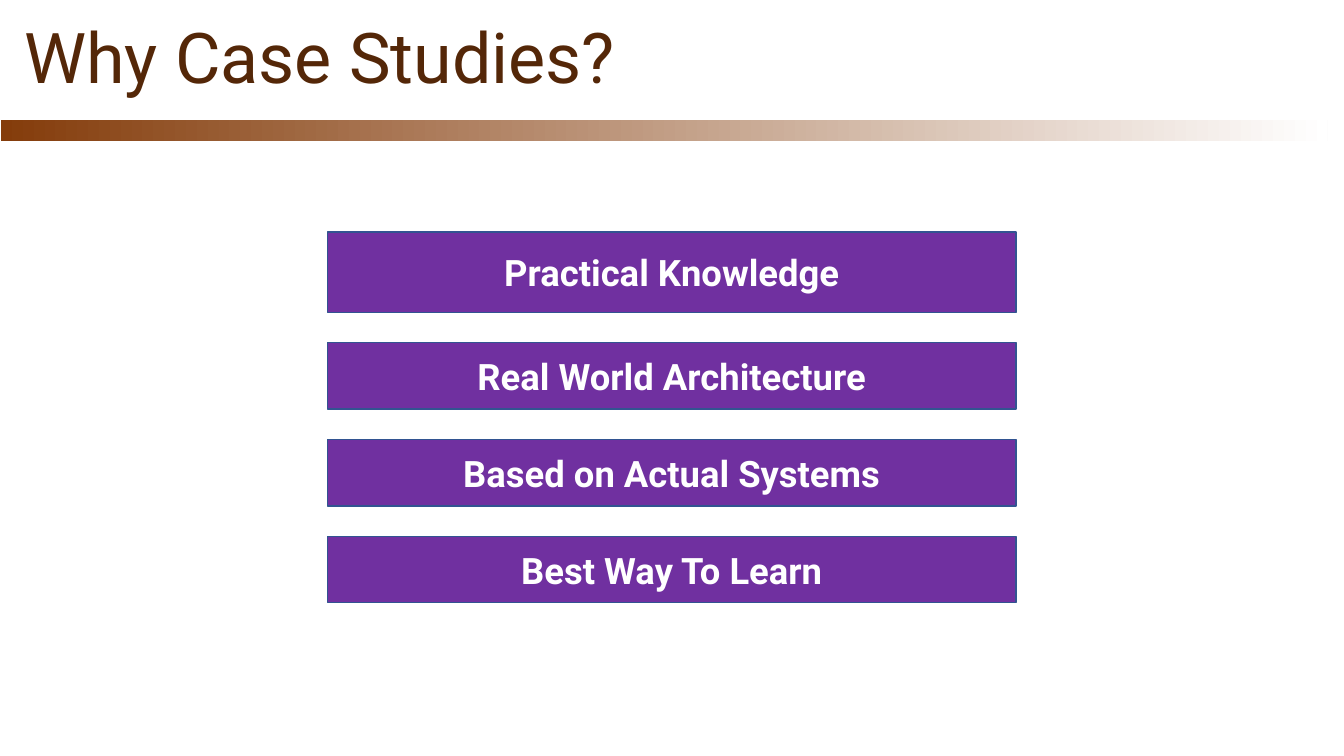
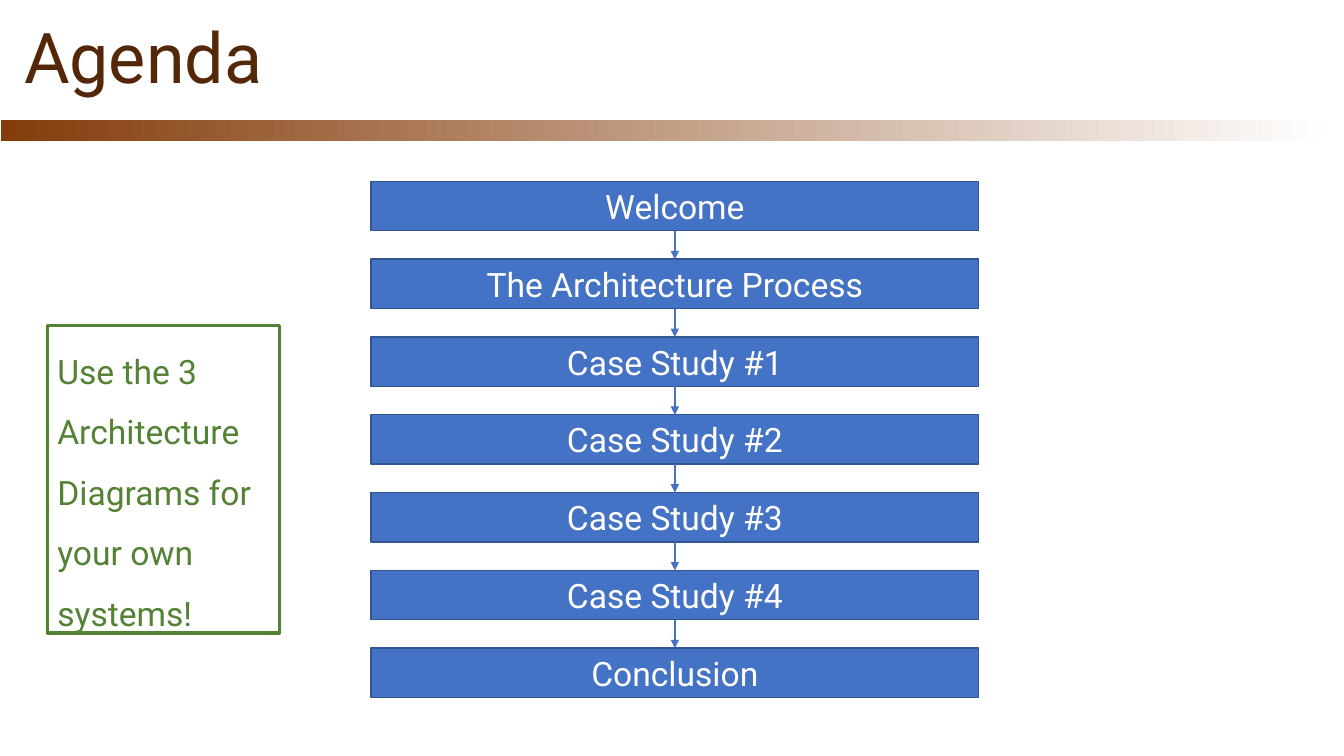
"""Build the two opening slides of a course on architecture case studies."""
import itertools

import lxml.etree
import pptx
import pptx.dml.color
import pptx.enum.shapes
import pptx.enum.text
import pptx.oxml.ns
import pptx.util

SLIDE_WIDTH = pptx.util.Inches(13.333)
SLIDE_HEIGHT = pptx.util.Inches(7.5)
FONT = "Roboto"
BROWN, DARK_BROWN, WHITE = "843C0B", "542708", "FFFFFF"
PURPLE, BLUE, NAVY, GREEN = "7030A0", "4472C4", "325491", "548235"

REASONS = ["Practical Knowledge", "Real World Architecture",
           "Based on Actual Systems", "Best Way To Learn"]
AGENDA = ["Welcome", "The Architecture Process",
          *(f"Case Study #{number}" for number in range(1, 5)), "Conclusion"]


def color(hex_string):
    """Turn a hex string into a colour."""
    return pptx.dml.color.RGBColor.from_string(hex_string)


def place(left, top, width, height):
    """Turn percentages of the slide's size into lengths."""
    return (int(SLIDE_WIDTH * left / 100), int(SLIDE_HEIGHT * top / 100),
            int(SLIDE_WIDTH * width / 100), int(SLIDE_HEIGHT * height / 100))


def write(shape, text, size, hex_string, bold=False):
    """Put one formatted paragraph into a shape and return it."""
    shape.text_frame.word_wrap = True
    shape.text_frame.text = text
    paragraph = shape.text_frame.paragraphs[0]
    font = paragraph.runs[0].font
    font.name, font.size, font.bold = FONT, pptx.util.Pt(size), bold
    font.color.rgb = color(hex_string)
    return paragraph


def add_rectangle(slide, box, fill=None, line=None, line_width=1):
    """Add a flat rectangle with an optional fill and outline."""
    shape = slide.shapes.add_shape(
        pptx.enum.shapes.MSO_SHAPE.RECTANGLE, *place(*box))
    shape.shadow.inherit = False
    if fill:
        shape.fill.solid()
        shape.fill.fore_color.rgb = color(fill)
    else:
        shape.fill.background()
    if line:
        shape.line.color.rgb = color(line)
        shape.line.width = pptx.util.Pt(line_width)
    else:
        shape.line.fill.background()
    return shape


def add_titled_slide(presentation, title, title_width):
    """Add a blank slide with the title and the fading band."""
    slide = presentation.slides.add_slide(presentation.slide_layouts[6])
    band = add_rectangle(slide, (0.08, 15.87, 98.7, 2.8))
    band.fill.gradient()
    band.fill.gradient_angle = 0
    for stop, position, shade in zip(band.fill.gradient_stops, (0, 1), (BROWN, WHITE)):
        stop.position = position
        stop.color.rgb = color(shade)
    box = slide.shapes.add_textbox(*place(1.05, 1.07, title_width, 12.53))
    write(box, title, 50, DARK_BROWN)
    box.text_frame.auto_size = pptx.enum.text.MSO_AUTO_SIZE.SHAPE_TO_FIT_TEXT
    return slide


def add_bar(slide, box, text, fill, size, bold=False):
    """Add a filled bar with centred white text."""
    bar = add_rectangle(slide, box, fill, NAVY)
    paragraph = write(bar, text, size, WHITE, bold)
    paragraph.alignment = pptx.enum.text.PP_ALIGN.CENTER
    bar.text_frame.vertical_anchor = pptx.enum.text.MSO_ANCHOR.MIDDLE
    return bar


def add_arrow(slide, upper, lower):
    """Join the bottom of one bar to the top of the next."""
    arrow = slide.shapes.add_connector(
        pptx.enum.shapes.MSO_CONNECTOR.STRAIGHT, 0, 0, 0, 0)
    arrow.begin_connect(upper, 2)
    arrow.end_connect(lower, 0)
    arrow.line.color.rgb = color(BLUE)
    arrow.line.width = pptx.util.Pt(1.5)
    qualified = pptx.oxml.ns.qn
    line = arrow.line._get_or_add_ln()
    lxml.etree.SubElement(line, qualified("a:tailEnd"), type="triangle")
    lxml.etree.SubElement(arrow._element.spPr, qualified("a:effectLst"))


def add_note(slide, box, text):
    """Add an outlined note with widely spaced lines."""
    note = add_rectangle(slide, box, line=GREEN, line_width=2.25)
    paragraph = write(note, text, 24, GREEN)
    paragraph.alignment = pptx.enum.text.PP_ALIGN.LEFT
    paragraph.line_spacing = 1.5
    note.text_frame.vertical_anchor = pptx.enum.text.MSO_ANCHOR.TOP


def build_reasons(presentation):
    """Build the slide of reasons, whose first bar is taller."""
    slide = add_titled_slide(presentation, "Why Case Studies?", 59.55)
    top, gap = 30.67, 4
    for index, reason in enumerate(REASONS):
        height = 8.8 if index else 10.67
        add_bar(slide, (24.38, top, 51.23, height), reason, PURPLE, 26, bold=True)
        top += height + gap


def build_agenda(presentation):
    """Build the agenda as a chain of bars beside a note."""
    slide = add_titled_slide(presentation, "Agenda", 89.03)
    top, pitch = 24, 10.29
    bars = [add_bar(slide, (27.6, top + index * pitch, 45.23, 6.53), step, BLUE, 24)
            for index, step in enumerate(AGENDA)]
    for upper, lower in itertools.pairwise(bars):
        add_arrow(slide, upper, lower)
    add_note(slide, (3.53, 43.07, 17.25, 40.67),
             "Use the 3 Architecture Diagrams for your own systems!")


def main():
    """Build and save the presentation."""
    presentation = pptx.Presentation()
    presentation.slide_width = SLIDE_WIDTH
    presentation.slide_height = SLIDE_HEIGHT
    build_reasons(presentation)
    build_agenda(presentation)
    presentation.save("out.pptx")


if __name__ == "__main__":
    main()
